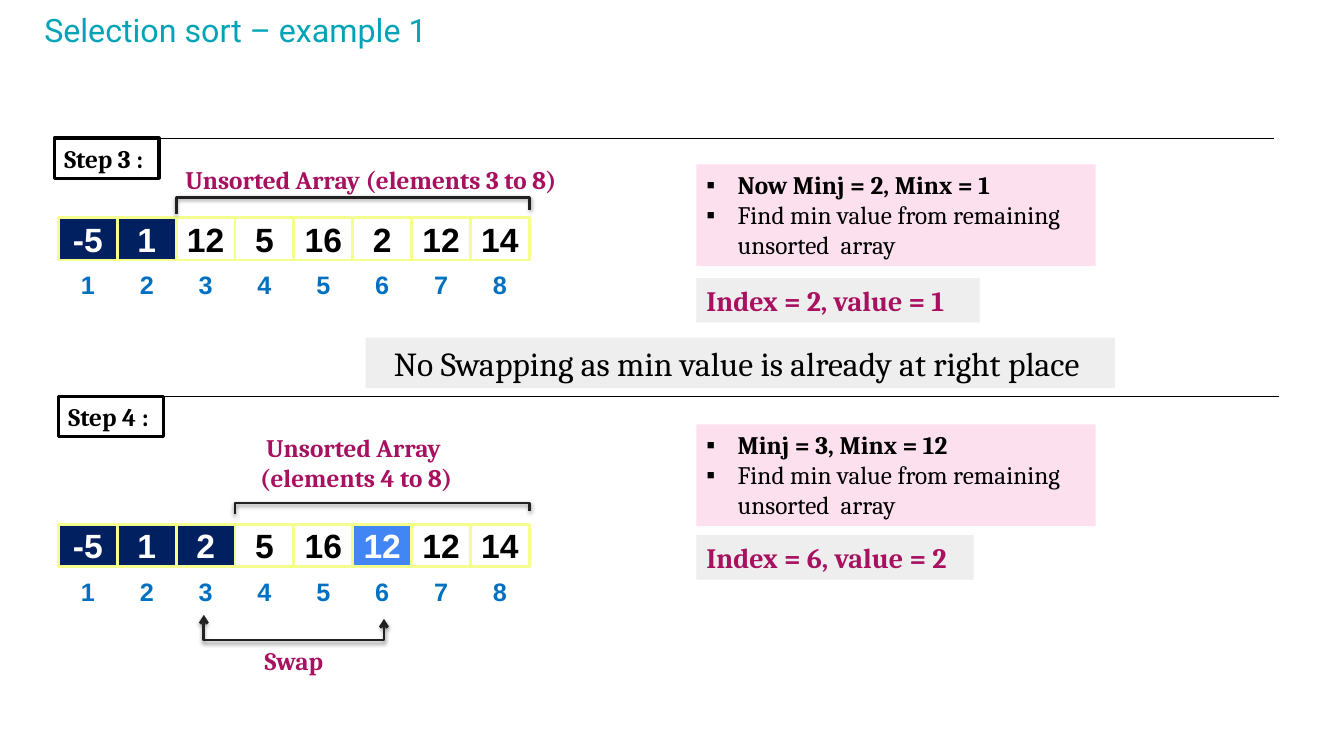
from lxml.etree import SubElement
from pptx import Presentation
from pptx.dml.color import RGBColor
from pptx.enum.shapes import MSO_CONNECTOR, MSO_SHAPE
from pptx.enum.text import MSO_ANCHOR, PP_ALIGN
from pptx.oxml.ns import qn
from pptx.util import Inches, Pt

BLACK = RGBColor(0x00, 0x00, 0x00)
WHITE = RGBColor(0xFF, 0xFF, 0xFF)
NAVY = RGBColor(0x00, 0x20, 0x60)
BLUE = RGBColor(0x42, 0x85, 0xF4)
INDEX_BLUE = RGBColor(0x00, 0x70, 0xC0)
YELLOW = RGBColor(0xF5, 0xFF, 0x8D)
CHARCOAL = RGBColor(0x21, 0x21, 0x21)
MAGENTA = RGBColor(0xA7, 0x11, 0x60)
PINK = RGBColor(0xFC, 0xE0, 0xEE)
GREY = RGBColor(0xEE, 0xEE, 0xEE)
TEAL = RGBColor(0x00, 0xA4, 0xB6)

ARRAY_LEFT = Inches(0.58)
COLUMN = Inches(4.67) / 8
ROW = Inches(0.5)
CELL_HEIGHT = 0.84
LABEL_HEIGHT = 0.8
INDEX_OFFSET = 0.91
NOTES_COLUMN = 10.84


def point(column, row):
    return round(ARRAY_LEFT + column * COLUMN), round(row * ROW)


def area(column, row, columns, rows):
    return *point(column, row), round(columns * COLUMN), round(rows * ROW)


def write(shape, text, size, color, font="Cambria", bold=True,
          align=PP_ALIGN.LEFT, anchor=MSO_ANCHOR.TOP, wrap=True):
    text_frame = shape.text_frame
    text_frame.text = text
    text_frame.word_wrap = wrap
    text_frame.vertical_anchor = anchor
    for paragraph in text_frame.paragraphs:
        paragraph.alignment = align
        for run in paragraph.runs:
            run.font.name = font
            run.font.size = Pt(size)
            run.font.bold = bold
            run.font.color.rgb = color


def add_box(slide, place, fill=None, line=None, line_width=2):
    shape = slide.shapes.add_shape(MSO_SHAPE.RECTANGLE, *area(*place))
    shape.shadow.inherit = False
    if fill is None:
        shape.fill.background()
    else:
        shape.fill.solid()
        shape.fill.fore_color.rgb = fill
    if line is None:
        shape.line.fill.background()
    else:
        shape.line.color.rgb = line
        shape.line.width = Pt(line_width)
    return shape


def add_caption(slide, place, text):
    caption = slide.shapes.add_textbox(*area(*place))
    write(caption, text, 18, MAGENTA, align=PP_ALIGN.CENTER)


def add_step_heading(slide, text, column, row):
    rule = slide.shapes.add_connector(
        MSO_CONNECTOR.STRAIGHT, *point(column, row), *point(column + 20.73, row))
    rule.line.color.rgb = BLACK
    rule.line.width = Pt(0.75)
    SubElement(rule._element.spPr, qn("a:effectLst"))
    box = add_box(slide, (column, row, 1.78, LABEL_HEIGHT), None, BLACK, 2.25)
    write(box, text, 18, BLACK, wrap=False)


def add_array(slide, values, row, fills):
    for column, value in enumerate(values):
        fill = fills.get(column, WHITE)
        cell = add_box(slide, (column, row, 1, CELL_HEIGHT), fill, YELLOW)
        write(cell, str(value), 24, BLACK if fill == WHITE else WHITE, "Arial",
              align=PP_ALIGN.CENTER, anchor=MSO_ANCHOR.MIDDLE)
        index = add_box(slide, (column, row + INDEX_OFFSET, 1, CELL_HEIGHT), WHITE)
        write(index, str(column + 1), 18, INDEX_BLUE, "Arial",
              align=PP_ALIGN.CENTER, anchor=MSO_ANCHOR.MIDDLE)


def add_bracket(slide, left, right, bar_row, left_foot, right_foot, arrows=False):
    builder = slide.shapes.build_freeform(*point(left, left_foot))
    corners = [point(left, bar_row), point(right, bar_row), point(right, right_foot)]
    builder.add_line_segments(corners, close=False)
    bracket = builder.convert_to_shape()
    bracket.fill.background()
    bracket.line.color.rgb = CHARCOAL
    bracket.line.width = Pt(2)
    bracket.shadow.inherit = False
    properties = bracket._element.spPr
    shadow = SubElement(properties.find(qn("a:effectLst")), qn("a:outerShdw"),
                        blurRad=str(Pt(3.1)), dist=str(Pt(1.6)),
                        dir="5400000", rotWithShape="0")
    color = SubElement(shadow, qn("a:srgbClr"), val=str(BLACK))
    SubElement(color, qn("a:alpha"), val="38000")
    if arrows:
        for end in ("a:headEnd", "a:tailEnd"):
            SubElement(properties.find(qn("a:ln")), qn(end), type="arrow")


def add_notes_box(slide, row, state):
    box = add_box(slide, (NOTES_COLUMN, row, 6.78, 2.02), PINK)
    write(box, state + "\nFind min value from remaining unsorted  array", 18, BLACK)
    for paragraph in box.text_frame.paragraphs:
        properties = paragraph._p.get_or_add_pPr()
        properties.set("marL", str(Inches(0.31)))
        properties.set("indent", str(-Inches(0.31)))
        SubElement(properties, qn("a:buFont"), typeface="Arial")
        SubElement(properties, qn("a:buChar"), char="▪")
    box.text_frame.paragraphs[1].runs[0].font.bold = False


def add_result(slide, row, columns, text):
    box = add_box(slide, (NOTES_COLUMN, row, columns, 0.88), GREY)
    write(box, text, 20, MAGENTA)


def main():
    presentation = Presentation()
    presentation.slide_width = Inches(13.33)
    presentation.slide_height = Inches(7.5)
    slide = presentation.slides.add_slide(presentation.slide_layouts[6])

    title = slide.shapes.add_textbox(*area(-0.41, 0, 15.97, 1.26))
    write(title, "Selection sort – example 1", 23, TEAL, "Roboto", False,
          PP_ALIGN.JUSTIFY)
    title.text_frame.margin_top = title.text_frame.margin_bottom = Inches(0.1)

    add_step_heading(slide, "Step 3 :", -0.07, 2.74)
    add_array(slide, [-5, 1, 12, 5, 16, 2, 12, 14], 4.32, {0: NAVY, 1: NAVY})
    add_bracket(slide, 2, 8, 3.92, 4.24, 4.16)
    add_caption(slide, (1.78, 3.16, 7.06, LABEL_HEIGHT),
                "Unsorted Array (elements 3 to 8)")
    add_notes_box(slide, 3.26, "Now Minj = 2, Minx = 1")
    add_result(slide, 5.52, 4.81, "Index = 2, value = 1")

    banner = add_box(slide, (5.22, 6.7, 12.73, 1), GREY)
    write(banner, "No Swapping as min value is already at right place ", 24, BLACK,
          bold=False, align=PP_ALIGN.CENTER, wrap=False)

    add_step_heading(slide, "Step 4 :", 0, 7.86)
    add_array(slide, [-5, 1, 2, 5, 16, 12, 12, 14], 10.4,
              {0: NAVY, 1: NAVY, 2: NAVY, 5: BLUE})
    add_bracket(slide, 3, 8, 9.98, 10.2, 10.14)
    add_caption(slide, (1.85, 8.48, 6.42, 1.42), "Unsorted Array \n(elements 4 to 8)")
    add_bracket(slide, 2.47, 5.53, 12.7, 12.2, 12.28, arrows=True)
    add_caption(slide, (3.15, 12.7, 1.7, LABEL_HEIGHT), "Swap")
    add_notes_box(slide, 8.42, "Minj = 3, Minx = 12")
    add_result(slide, 10.62, 4.71, "Index = 6, value = 2")

    presentation.save("out.pptx")


if __name__ == "__main__":
    main()
